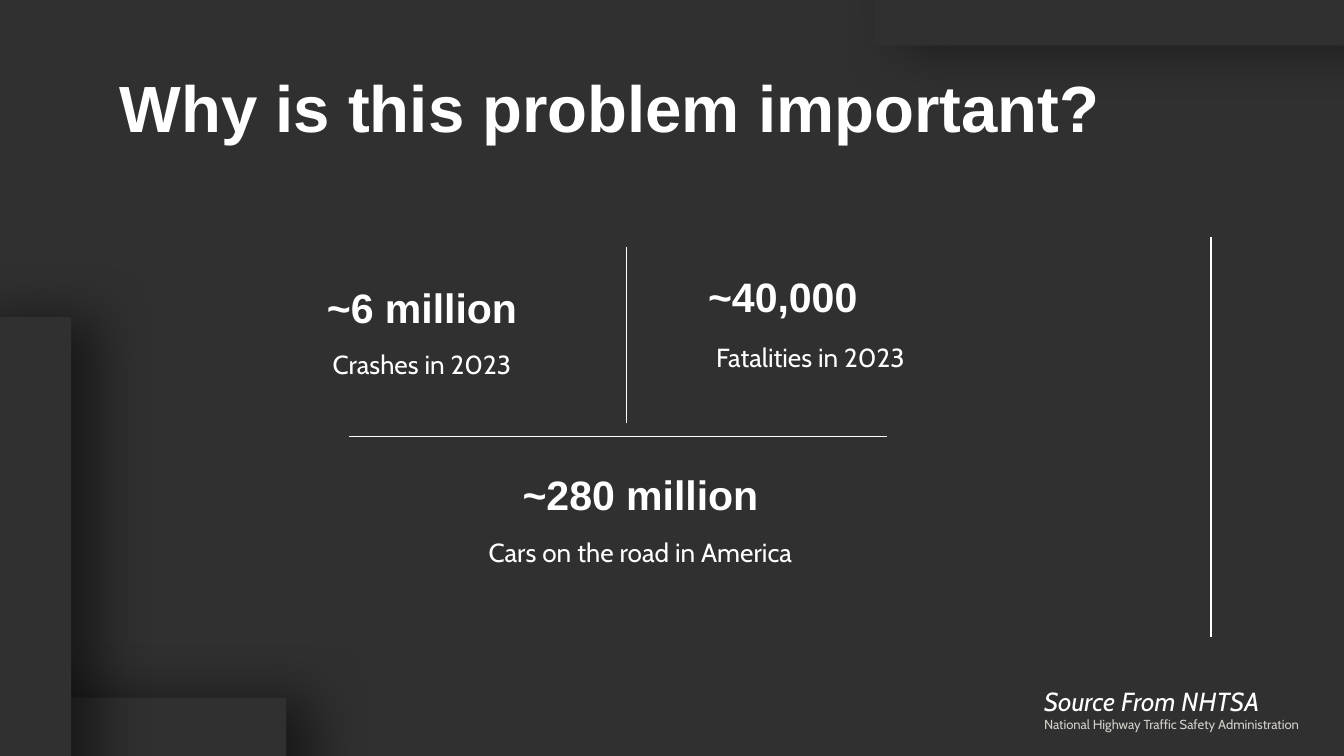
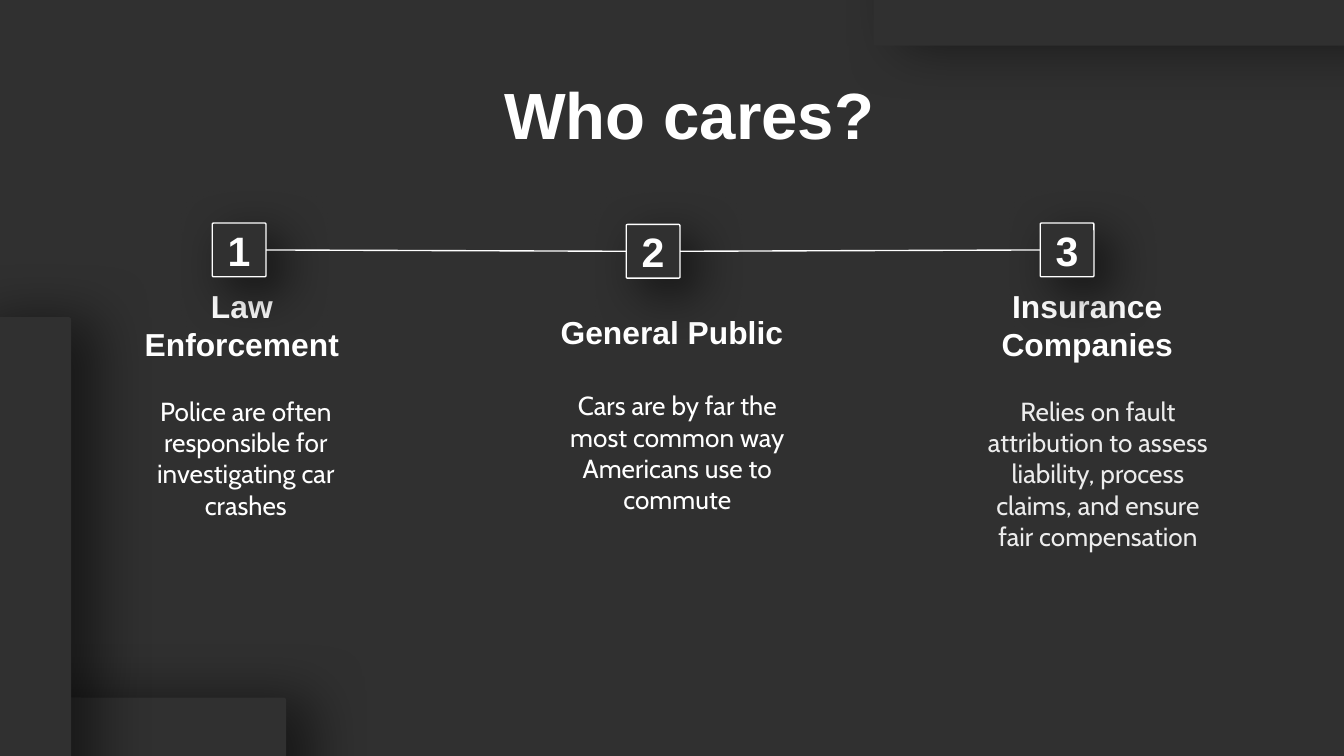
"""Build two dark slides: why car crashes matter and who cares about them."""
from typing import NamedTuple

from lxml import etree
from pptx import Presentation
from pptx.dml.color import RGBColor
from pptx.enum.shapes import MSO_CONNECTOR, MSO_SHAPE
from pptx.enum.text import MSO_ANCHOR, MSO_AUTO_SIZE, PP_ALIGN
from pptx.oxml.ns import qn
from pptx.util import Inches, Pt

ROUND = MSO_SHAPE.ROUNDED_RECTANGLE
STRAIGHT = MSO_CONNECTOR.STRAIGHT
TOP, MID, LOW = MSO_ANCHOR.TOP, MSO_ANCHOR.MIDDLE, MSO_ANCHOR.BOTTOM
LEFT, MIDDLE = PP_ALIGN.LEFT, PP_ALIGN.CENTER
FIXED = MSO_AUTO_SIZE.NONE
SIDE_L, SIDE_R = 1, 3
HEAD, BODY = "Arial", "Cabin"
COLORS = {"dark": "303030", "white": "FFFFFF", "pale": "ECECEC",
          "sand": "D4D1CB", "black": "000000"}


class Box(NamedTuple):
    """A place on the slide in inches."""
    left: float
    top: float
    width: float
    height: float


class Shade(NamedTuple):
    """A soft shadow: opacity in percent, blur and shift in points, angle."""
    alpha: int
    blur: float
    shift: float
    angle: int


class Fact(NamedTuple):
    """A large figure with its caption."""
    figure: str
    place: Box
    align: PP_ALIGN
    note: str
    below: Box


class Group(NamedTuple):
    """A numbered group of people with its reason to care."""
    name: str
    place: Box
    text: str
    below: Box
    mark: Box
    color: str = "white"
    glow: str = ""


BARS = [Box(-0.34, 5.19, 2.47, 0.78), Box(-0.31, 2.36, 0.84, 3.64),
        Box(6.5, -0.37, 3.64, 0.71)]
BAR_SHADE = Shade(50, 30.4, 14.2, 0)
MARK_SHADE = Shade(63, 27, 11.2, 44)
RULES = [(4.66, 1.84, 4.66, 3.15), (9.01, 1.76, 9.01, 4.74),
         (2.6, 3.25, 6.6, 3.25)]
FACTS = [
    Fact("~6 million", Box(2.18, 2.07, 1.92, 0.5), MIDDLE,
         "Crashes in 2023", Box(2.18, 2.49, 1.92, 0.4)),
    Fact("~40,000", Box(5.17, 1.99, 1.92, 0.5), LEFT,
         "Fatalities in 2023", Box(5.07, 2.44, 1.92, 0.4)),
    Fact("~280 million", Box(2.77, 3.46, 3.99, 0.5), MIDDLE,
         "Cars on the road in America", Box(2.77, 3.89, 3.99, 0.4)),
]
GROUPS = [
    Group("Law Enforcement", Box(0.8, 2.3, 2, 0.5),
          "Police are often responsible for investigating car crashes",
          Box(0.83, 2.84, 2, 0.9), Box(1.58, 1.66, 0.4, 0.4)),
    Group("General Public", Box(4, 2.21, 2, 0.5),
          "Cars are by far the most common way Americans use to commute",
          Box(4.04, 2.8, 2, 0.9), Box(4.66, 1.67, 0.4, 0.4)),
    Group("Insurance Companies", Box(7.09, 2.3, 2, 0.5),
          "Relies on fault attribution to assess liability, process claims, "
          "and ensure fair compensation",
          Box(7.17, 2.84, 2, 0.9), Box(7.74, 1.66, 0.4, 0.4), "pale", "dark"),
]


def rgb(name: str) -> RGBColor:
    """Return a named colour."""
    return RGBColor.from_string(COLORS[name])


def span(box: Box) -> list:
    """Return a place as lengths."""
    return [Inches(side) for side in box]


def put(frame, text: str, *, size: float, font: str = BODY,
        color: str = "white", bold: bool = False, slant: bool = False,
        align: PP_ALIGN = LEFT, glow: str = "") -> None:
    """Write one formatted paragraph at the end of a text frame."""
    para = frame.add_paragraph() if frame.text else frame.paragraphs[0]
    para.alignment, para.line_spacing = align, 1.0
    run = para.add_run()
    run.text = text
    face = run.font
    face.size, face.name, face.bold, face.italic = Pt(size), font, bold, slant
    face.color.rgb = rgb(color)
    if glow:
        mark = etree.Element(qn("a:highlight"))
        etree.SubElement(mark, qn("a:srgbClr"), val=COLORS[glow])
        run._r.rPr.find(qn("a:solidFill")).addnext(mark)


def setup(frame, anchor: MSO_ANCHOR, inset: float = 0.1) -> None:
    """Set wrap, anchor and equal margins of a text frame."""
    frame.word_wrap, frame.auto_size = True, FIXED
    frame.vertical_anchor = anchor
    frame.margin_left = frame.margin_right = Inches(inset)
    frame.margin_top = frame.margin_bottom = Inches(inset)


def field(slide, box: Box, anchor: MSO_ANCHOR = TOP):
    """Add an empty text box and return its frame."""
    frame = slide.shapes.add_textbox(*span(box)).text_frame
    setup(frame, anchor)
    return frame


def panel(slide, box: Box, shade: Shade):
    """Add a dark rounded panel with a soft shadow."""
    shape = slide.shapes.add_shape(ROUND, *span(box))
    shape.adjustments[0] = 0.025
    shape.fill.solid()
    shape.fill.fore_color.rgb = rgb("dark")
    shape.line.fill.background()
    shape.shadow.inherit = False
    cast = etree.SubElement(
        shape.element.spPr.find(qn("a:effectLst")), qn("a:outerShdw"),
        blurRad=str(Pt(shade.blur)), dist=str(Pt(shade.shift)),
        dir=str(shade.angle * 60000), algn="bl", rotWithShape="0")
    tint = etree.SubElement(cast, qn("a:srgbClr"), val=COLORS["black"])
    etree.SubElement(tint, qn("a:alpha"), val=str(shade.alpha * 1000))
    return shape


def rule(slide, ends: tuple = (0, 0, 0, 0)):
    """Add a thin white line."""
    line = slide.shapes.add_connector(STRAIGHT, *map(Inches, ends))
    line.line.color.rgb = rgb("white")
    line.line.width = Pt(0.75)
    etree.SubElement(line.element.spPr, qn("a:effectLst"))
    return line


def start(deck, text: str, box: Box):
    """Add a slide with its title."""
    slide = deck.slides.add_slide(deck.slide_layouts[5])
    title = slide.shapes.title
    title.left, title.top, title.width, title.height = span(box)
    setup(title.text_frame, TOP)
    put(title.text_frame, text, size=35, font=HEAD, bold=True)
    return slide


def dress(deck, slide) -> None:
    """Give the master its background and the layout its bars."""
    fill = deck.slide_master.background.fill
    fill.solid()
    fill.fore_color.rgb = rgb("dark")
    layout = slide.slide_layout
    for holder in list(layout.placeholders)[1:]:
        layout.shapes.element.remove(holder.element)
    for box in BARS:
        layout.shapes.element.append(panel(slide, box, BAR_SHADE).element)


def facts(slide) -> None:
    """Draw the figures, the rules between them and the source."""
    for fact in FACTS:
        put(field(slide, fact.place, LOW), fact.figure, size=22, font=HEAD,
            bold=True, align=fact.align)
        put(field(slide, fact.below), fact.note, size=14, align=MIDDLE)
    for ends in RULES:
        rule(slide, ends)
    frame = field(slide, Box(7.67, 5, 2.33, 0.63))
    put(frame, "Source From NHTSA", size=14, slant=True)
    put(frame, "National Highway Traffic Safety Administration", size=7,
        color="sand", glow="dark")


def groups(slide) -> None:
    """Draw the groups and join their numbered marks."""
    for group in GROUPS:
        put(field(slide, group.place, LOW), group.name, size=17, font=HEAD,
            bold=True, align=MIDDLE)
        put(field(slide, group.below), group.text, size=14, align=MIDDLE,
            color=group.color, glow=group.glow)
    marks = []
    for count, group in enumerate(GROUPS, 1):
        mark = panel(slide, group.mark, MARK_SHADE)
        mark.line.color.rgb = rgb("white")
        mark.line.width = Pt(0.75)
        setup(mark.text_frame, MID, 0)
        put(mark.text_frame, str(count), size=22, font=HEAD, bold=True,
            align=MIDDLE)
        marks.append(mark)
    for one, two in zip(marks, marks[1:]):
        line = rule(slide)
        line.begin_connect(one, SIDE_R)
        line.end_connect(two, SIDE_L)


def main() -> None:
    """Build and save the deck."""
    deck = Presentation()
    deck.slide_width = Inches(10)
    deck.slide_height = deck.slide_width * 9 // 16
    why = start(deck, "Why is this problem important?",
                Box(0.79, 0.4, 8.43, 0.7))
    dress(deck, why)
    facts(why)
    groups(start(deck, "Who cares?", Box(3.65, 0.45, 3.59, 0.7)))
    deck.save("out.pptx")


if __name__ == "__main__":
    main()
